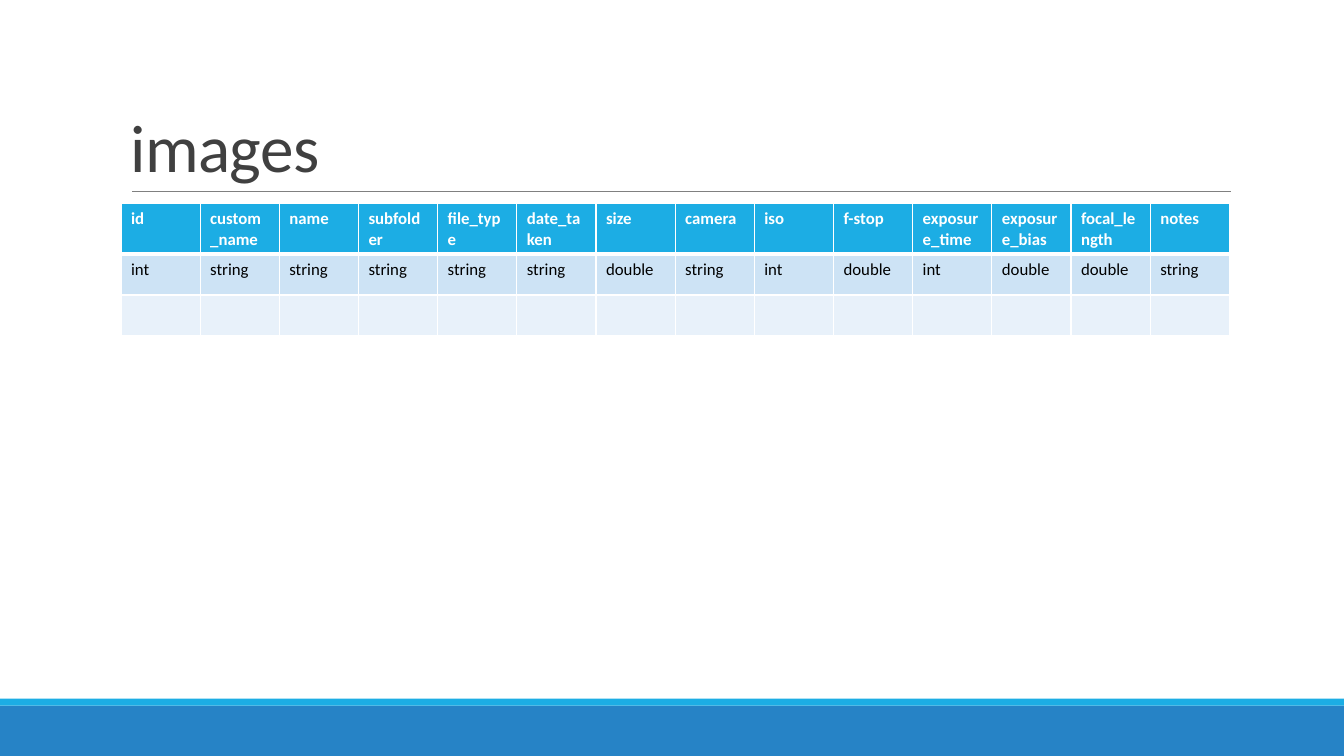
from lxml import etree
from pptx import Presentation
from pptx.dml.color import RGBColor
from pptx.enum.shapes import MSO_CONNECTOR, MSO_SHAPE
from pptx.enum.text import MSO_ANCHOR
from pptx.oxml.ns import qn
from pptx.util import Pt

RECT = MSO_SHAPE.RECTANGLE
LINE = MSO_CONNECTOR.STRAIGHT
BOTTOM = MSO_ANCHOR.BOTTOM

WIDE, HIGH = 960, 540
FONT = "Calibri"
HEX = {
    "blue": "2683C6", "cyan": "1CADE4", "rule": "808080", "title": "404040",
    "white": "FFFFFF", "black": "000000", "band": "CDE3F5", "pale": "E8F1FA",
}
FIELDS = [
    ("id", "int"), ("custom_name", "string"), ("name", "string"),
    ("subfolder", "string"), ("file_type", "string"),
    ("date_taken", "string"), ("size", "double"), ("camera", "string"),
    ("iso", "int"), ("f-stop", "double"), ("exposure_time", "int"),
    ("exposure_bias", "double"), ("focal_length", "double"),
    ("notes", "string"),
]


def color(name):
    return RGBColor.from_string(HEX[name])


def style(run, size, tint, bold=False):
    run.font.name = FONT
    run.font.size = Pt(size)
    run.font.bold = bold
    run.font.color.rgb = color(tint)


def add_foot(slide, x, y, w, h):
    """Thin cyan strip above a blue band."""
    strip = 5
    for top, tall, tint in ((y + strip, h - strip, "blue"), (y, strip, "cyan")):
        bar = slide.shapes.add_shape(RECT, Pt(x), Pt(top), Pt(w), Pt(tall))
        bar.shadow.inherit = False
        bar.fill.solid()
        bar.fill.fore_color.rgb = color(tint)
        bar.line.fill.background()


def add_title(slide, x, y, w, h, text):
    """Title with a rule along its base."""
    base = Pt(y + h)
    rule = slide.shapes.add_connector(LINE, Pt(x + 8), base, Pt(x + w + 1), base)
    rule.line.color.rgb = color("rule")
    rule.line.width = Pt(0.5)
    etree.SubElement(rule._element.spPr, qn("a:effectLst"))

    frame = slide.shapes.add_textbox(Pt(x), Pt(y), Pt(w), Pt(h)).text_frame
    frame.word_wrap = True
    frame.vertical_anchor = BOTTOM
    frame.text = text
    para = frame.paragraphs[0]
    para.line_spacing = 0.85
    style(para.runs[0], 48, "title")
    para.runs[0].font._element.set("spc", "-50")


def add_edge(cell, side, width):
    props = cell._tc.get_or_add_tcPr()
    edge = etree.SubElement(props, qn("a:ln" + side), w=str(Pt(width)))
    fill = etree.SubElement(edge, qn("a:solidFill"))
    etree.SubElement(fill, qn("a:srgbClr"), val=HEX["white"])


def add_grid(slide, x, y, w, h, fields):
    """Field names, their types and one empty row."""
    names, types = zip(*fields)
    rows = [
        (names, "cyan", "white"),
        (types, "band", "black"),
        ([""] * len(fields), "pale", "black"),
    ]
    shape = slide.shapes.add_table(
        len(rows), len(fields), Pt(x), Pt(y), Pt(w), Pt(h))
    table = shape.table
    for col in table.columns:
        col.width = Pt(w / len(fields))
    for r, (texts, fill, ink) in enumerate(rows):
        table.rows[r].height = Pt(h / len(rows))
        # A thick edge parts the header from the body
        edges = {"L": 1, "R": 1, "T": 3 if r == 1 else 1, "B": 3 if r == 0 else 1}
        for c, text in enumerate(texts):
            cell = table.cell(r, c)
            for side, width in edges.items():
                add_edge(cell, side, width)
            cell.fill.solid()
            cell.fill.fore_color.rgb = color(fill)
            if text:
                cell.text = text
                style(cell.text_frame.paragraphs[0].runs[0], 12, ink, r == 0)


def main():
    deck = Presentation()
    deck.slide_width, deck.slide_height = Pt(WIDE), Pt(HIGH)
    slide = deck.slides.add_slide(deck.slide_layouts[6])
    add_foot(slide, 0, HIGH - 41, WIDE, 41)
    add_title(slide, 86.4, 22.5, 792, 114, "images")
    add_grid(slide, 86.4, 145.5, 792, 87.6, FIELDS)
    deck.save("out.pptx")


if __name__ == "__main__":
    main()
